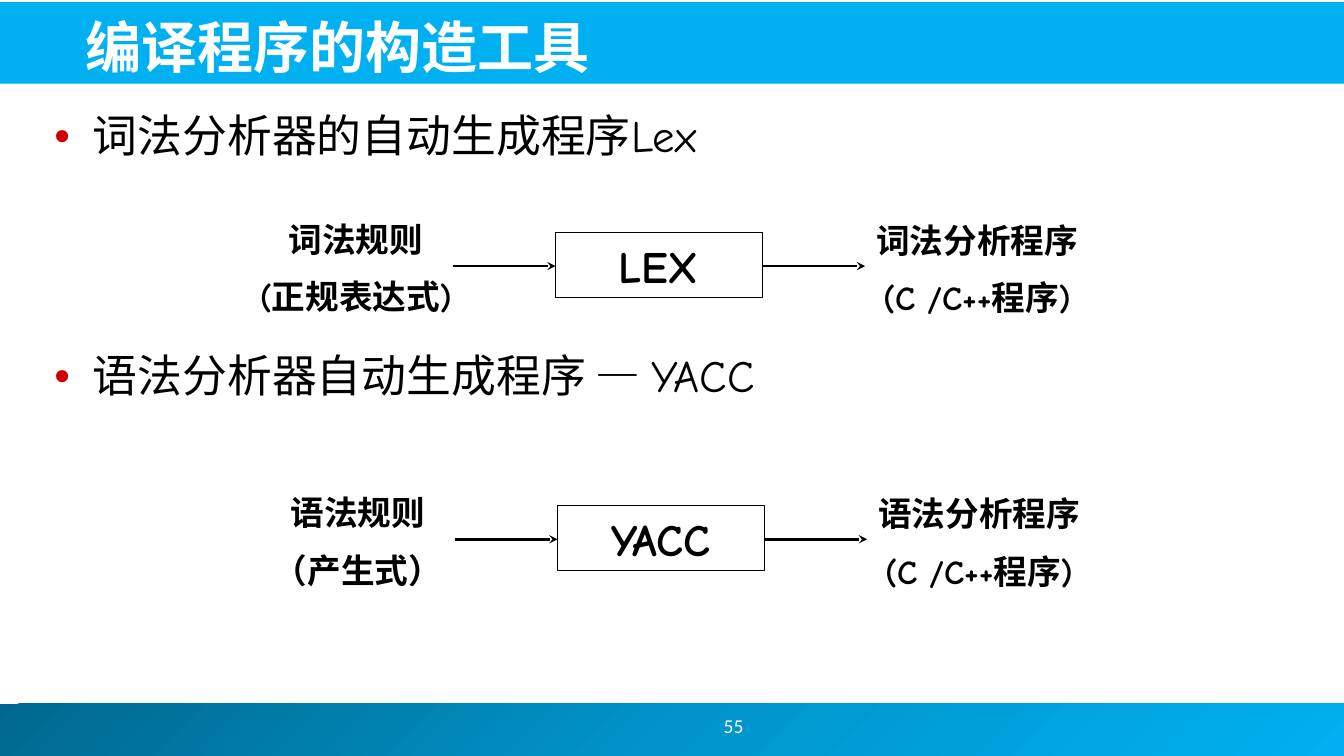
"""Builds the slide on tools for constructing compilers."""
from copy import deepcopy
from dataclasses import dataclass

from lxml.etree import SubElement
from pptx import Presentation
from pptx.dml.color import RGBColor
from pptx.enum.shapes import MSO_CONNECTOR, MSO_SHAPE
from pptx.enum.text import MSO_ANCHOR, MSO_AUTO_SIZE, PP_ALIGN
from pptx.oxml.ns import qn
from pptx.util import Inches, Pt


@dataclass(frozen=True)
class Theme:
    black: str = "000000"
    white: str = "FFFFFF"
    sky: str = "00B0F0"
    bullet: str = "CC0000"
    footer: tuple = ((0, "00688E"), (0.5, "0094CA"), (1, "00B0F0"))
    title_size: int = 40
    body_size: int = 32
    label_size: int = 24
    number_size: int = 14
    latin: str = "Comic Neue"
    chinese: str = "Noto Sans CJK JP"
    number_font: str = "Calibri"


def write_text(frame, lines, *, size, color, font, chinese, bold=False,
               align=PP_ALIGN.LEFT, anchor=MSO_ANCHOR.TOP, gap=0,
               line_spacing=None, bullet=None):
    frame.word_wrap = True
    frame.auto_size = MSO_AUTO_SIZE.NONE
    frame.vertical_anchor = anchor
    for index, line in enumerate(lines):
        paragraph = frame.paragraphs[0] if index == 0 else frame.add_paragraph()
        if bullet:
            properties = paragraph._p.get_or_add_pPr()
            properties.set("marL", str(Inches(0.38)))
            properties.set("indent", str(Inches(-0.38)))
            tint = SubElement(properties, qn("a:buClr"))
            SubElement(tint, qn("a:srgbClr"), val=bullet)
            SubElement(properties, qn("a:buFont"), typeface="Arial")
            SubElement(properties, qn("a:buChar"), char="•")
        paragraph.alignment = align
        paragraph.line_spacing = line_spacing
        paragraph.space_before = Pt(gap if index else 0)
        run = paragraph.add_run()
        run.text = line
        run.font.size = Pt(size)
        run.font.bold = bold
        run.font.name = font
        run.font.color.rgb = RGBColor.from_string(color)
        SubElement(run.font._element, qn("a:ea"), typeface=chinese)


class SlideBuilder:
    def __init__(self, slide, theme):
        self.slide = slide
        self.theme = theme

    def text(self, frame, lines, **format):
        defaults = dict(color=self.theme.black, font=self.theme.latin,
                        chinese=self.theme.chinese)
        write_text(frame, lines, **{**defaults, **format})

    def band(self, left, top, width, height, stops):
        band = self.slide.shapes.add_shape(
            MSO_SHAPE.RECTANGLE, Inches(left), Inches(top), Inches(width), Inches(height))
        band.shadow.inherit = False
        band.line.fill.background()
        if len(stops) == 1:
            band.fill.solid()
            band.fill.fore_color.rgb = RGBColor.from_string(stops[0][1])
        else:
            band.fill.gradient()
            band.fill.gradient_angle = 315
            stop_list = next(band.element.iter(qn("a:gsLst")))
            for _ in range(len(stops) - len(stop_list)):
                stop_list.append(deepcopy(stop_list[-1]))
            for stop, (position, color) in zip(band.fill.gradient_stops, stops):
                stop.position = position
                stop.color.rgb = RGBColor.from_string(color)
        band.element.getparent().insert(2, band.element)

    def placeholder(self, holder, left, top, width, height, lines, **format):
        holder.left, holder.top = Inches(left), Inches(top)
        holder.width, holder.height = Inches(width), Inches(height)
        self.text(holder.text_frame, lines, **format)

    def label(self, shapes, left, top, width, height, lines, **format):
        label = shapes.add_textbox(Inches(left), Inches(top), Inches(width), Inches(height))
        self.text(label.text_frame, lines, align=PP_ALIGN.CENTER, **format)

    def tool(self, shapes, left, top, name):
        tool = shapes.add_shape(
            MSO_SHAPE.RECTANGLE, Inches(left), Inches(top), Inches(2.05), Inches(0.64))
        tool.shadow.inherit = False
        tool.fill.background()
        tool.line.color.rgb = RGBColor.from_string(self.theme.black)
        tool.line.width = Pt(0.75)
        self.text(tool.text_frame, [name], size=self.theme.body_size, bold=True,
                  align=PP_ALIGN.CENTER, anchor=MSO_ANCHOR.BOTTOM)

    def arrow(self, shapes, left, y, length):
        arrow = shapes.add_connector(
            MSO_CONNECTOR.STRAIGHT, Inches(left), Inches(y), Inches(left + length), Inches(y))
        arrow.line.color.rgb = RGBColor.from_string(self.theme.black)
        arrow.line.width = Pt(2)
        SubElement(arrow.line._get_or_add_ln(), qn("a:tailEnd"), type="stealth")
        SubElement(arrow.element.spPr, qn("a:effectLst"))

    def pipeline(self, left, top, rules, name, program):
        shapes = self.slide.shapes.add_group_shape().shapes
        label_format = dict(size=self.theme.label_size, bold=True, gap=12,
                            anchor=MSO_ANCHOR.BOTTOM)
        self.tool(shapes, left + 3.34, top + 0.23, name)
        self.label(shapes, left, top, 2.72, 1.11, rules, **label_format)
        self.label(shapes, left + 6.26, top + 0.01, 2.52, 1.11, program, **label_format)
        for arrow_left in (2.32, 5.39):
            self.arrow(shapes, left + arrow_left, top + 0.56, 1.02)


def main():
    theme = Theme()
    deck = Presentation()
    deck.slide_width, deck.slide_height = Inches(13.33), Inches(7.5)
    slide = deck.slides.add_slide(deck.slide_layouts[1])
    builder = SlideBuilder(slide, theme)

    builder.band(-0.02, 0.02, 13.36, 0.81, [(0, theme.sky)])
    builder.band(-0.05, 6.98, 13.39, 0.52, theme.footer)
    builder.placeholder(
        slide.shapes.title, 0.75, 0.05, 12.14, 0.79, ["编译程序的构造工具"],
        size=theme.title_size, color=theme.white, font=theme.chinese, bold=True,
        anchor=MSO_ANCHOR.BOTTOM)
    builder.placeholder(
        slide.placeholders[1], 0.44, 1.08, 12.44, 5.44,
        ["词法分析器的自动生成程序Lex", "语法分析器自动生成程序 — YACC"],
        size=theme.body_size, bullet=theme.bullet, line_spacing=0.9, gap=137)
    builder.label(slide.shapes, 5.83, 6.95, 2.89, 0.5, ["55"], size=theme.number_size,
                  color=theme.white, font=theme.number_font, anchor=MSO_ANCHOR.MIDDLE)

    builder.pipeline(2.17, 2.08, ["词法规则", "(正规表达式)"], "LEX",
                     ["词法分析程序", "(C /C++程序)"])
    builder.pipeline(2.19, 4.79, ["语法规则", "（产生式）"], "YACC",
                     ["语法分析程序", "(C /C++程序)"])
    deck.save("out.pptx")


if __name__ == "__main__":
    main()
